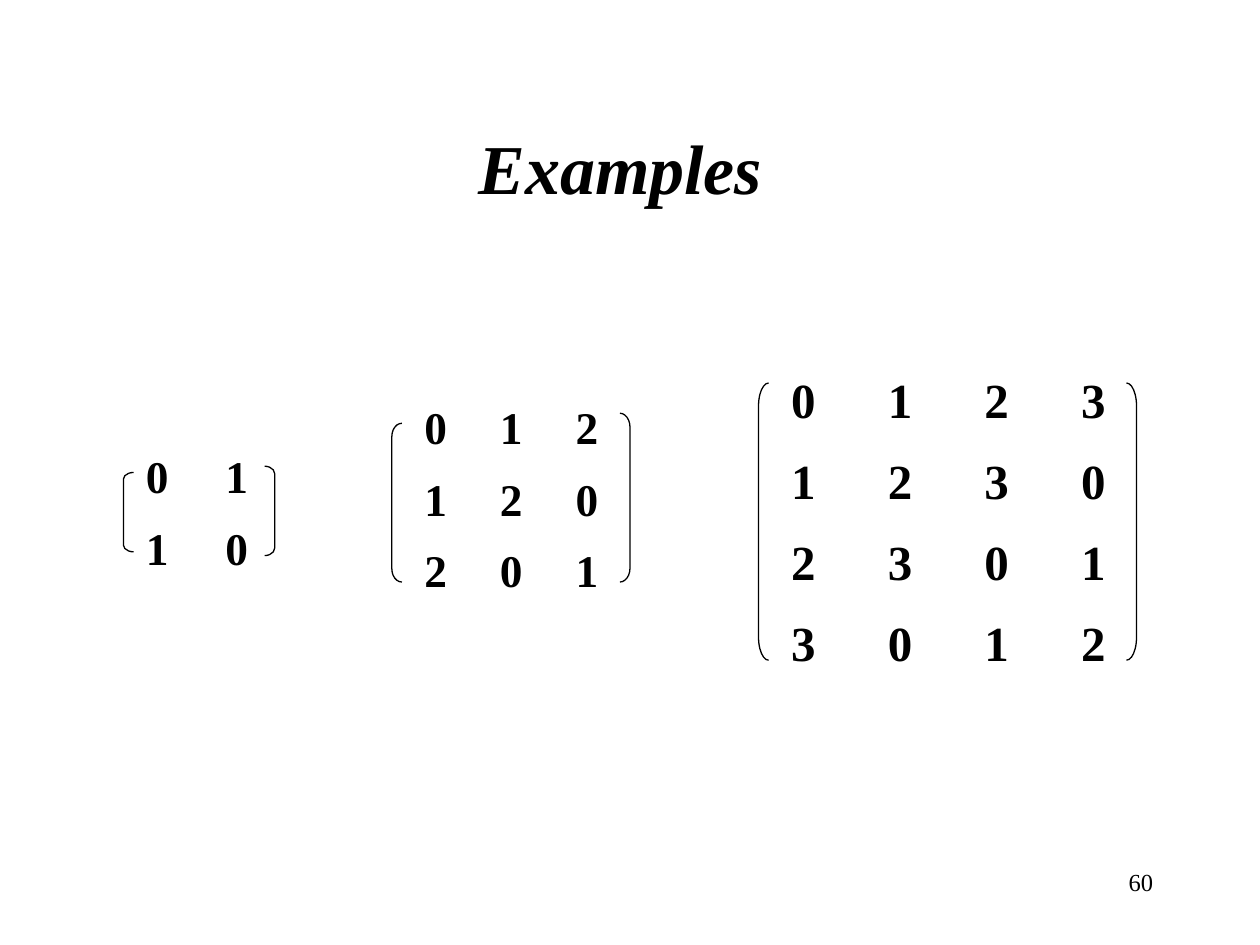
from pptx import Presentation
from pptx import util as u
from pptx.dml.color import RGBColor
from pptx.enum import shapes, text

BLACK = RGBColor(0, 0, 0)
FONT = "Times New Roman"
BRACKET_WIDTH = 0.08
LEFT = shapes.MSO_SHAPE.LEFT_BRACKET
RIGHT = shapes.MSO_SHAPE.RIGHT_BRACKET

# order, box and digit size of each matrix; brackets as offset x, offset y, height
MATRICES = [
    {"order": 2, "box": (1.06, 3.51, 1.26, 1.14), "size": 25.9,
     "brackets": {LEFT: (-0.08, 0.24, 0.63), RIGHT: (1.04, 0.19, 0.71)}},
    {"order": 3, "box": (3.27, 3.12, 1.8, 1.7), "size": 25.9,
     "brackets": {LEFT: (-0.16, 0.24, 1.26), RIGHT: (1.65, 0.16, 1.34)}},
    {"order": 4, "box": (6.18, 2.88, 3.07, 2.58), "size": 28,
     "brackets": {LEFT: (-0.16, 0.16, 2.2), RIGHT: (2.76, 0.16, 2.2)}},
]


def set_all(target, values):
    for name, value in values.items():
        setattr(target, name, value)


def add_text(container, box, runs, paragraph_format, anchor=text.MSO_ANCHOR.TOP):
    """Add a text box; runs is a list of (wording, font values)."""
    frame = container.add_textbox(*map(u.Inches, box)).text_frame
    set_all(frame, {"word_wrap": True, "vertical_anchor": anchor})
    paragraph = frame.paragraphs[0]
    set_all(paragraph, paragraph_format)
    for wording, font_values in runs:
        run = paragraph.add_run()
        run.text = wording
        set_all(run.font, {"name": FONT, **font_values})
        run.font.color.rgb = BLACK


def add_bracket(container, kind, left, top, height):
    bracket = container.add_shape(
        kind, *map(u.Inches, (left, top, BRACKET_WIDTH, height)))
    bracket.shadow.inherit = False
    bracket.fill.background()
    bracket.line.color.rgb = BLACK
    bracket.line.width = u.Pt(0.75)
    bracket.adjustments[0] = height / 12 / BRACKET_WIDTH


def add_matrix(slide, order, box, size, brackets):
    """Add the addition table modulo order, between its brackets."""
    left, top, width, height = box
    cell_width, cell_height = width / order, height / order
    group = slide.shapes.add_group_shape().shapes
    for row in range(order):
        for column in range(order):
            cell = (left + column * cell_width, top + row * cell_height,
                    cell_width, cell_height)
            digit = str((row + column) % order)
            add_text(group, cell, [(digit, {"size": u.Pt(size), "bold": True})],
                     {"space_before": u.Pt(7)})
    for kind, (x, y, bracket_height) in brackets.items():
        add_bracket(group, kind, left + x, top + y, bracket_height)


def add_title(slide, box):
    runs = [("Examples", {"size": u.Pt(40), "bold": True, "italic": True}),
            (" ", {"size": u.Pt(44), "italic": True})]
    add_text(slide.shapes, box, runs, {"alignment": text.PP_ALIGN.CENTER},
             text.MSO_ANCHOR.MIDDLE)


def add_page_number(slide, box):
    add_text(slide.shapes, box, [("60", {"size": u.Pt(14)})],
             {"alignment": text.PP_ALIGN.RIGHT})


def main():
    presentation = Presentation()
    set_all(presentation, {"slide_width": u.Inches(10), "slide_height": u.Inches(7.5)})
    slide = presentation.slides.add_slide(presentation.slide_layouts[6])
    add_page_number(slide, (7.17, 6.83, 2.08, 0.5))
    add_title(slide, (0.75, 0.67, 8.5, 1.25))
    for matrix in MATRICES:
        add_matrix(slide, **matrix)
    presentation.save("out.pptx")


if __name__ == "__main__":
    main()
